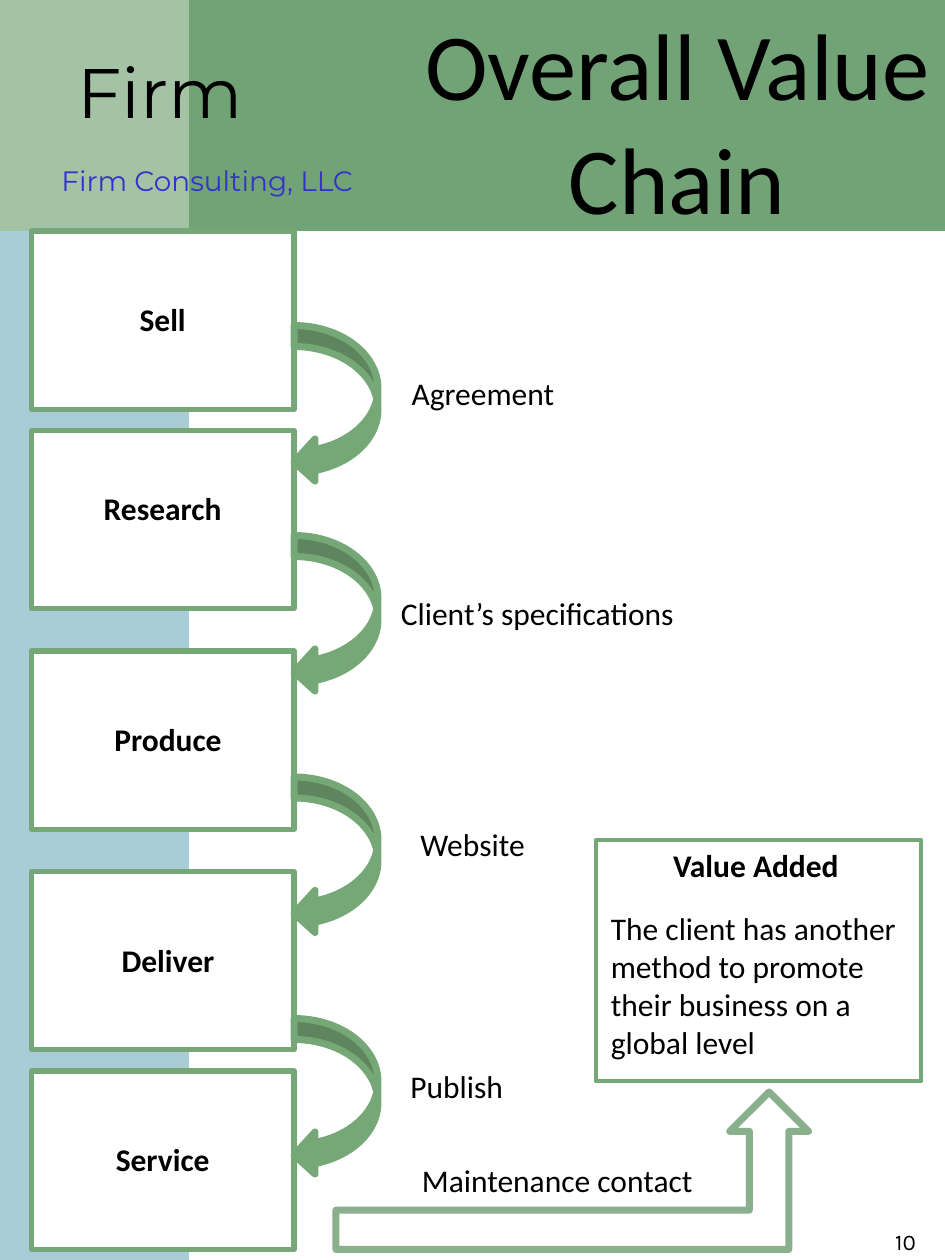
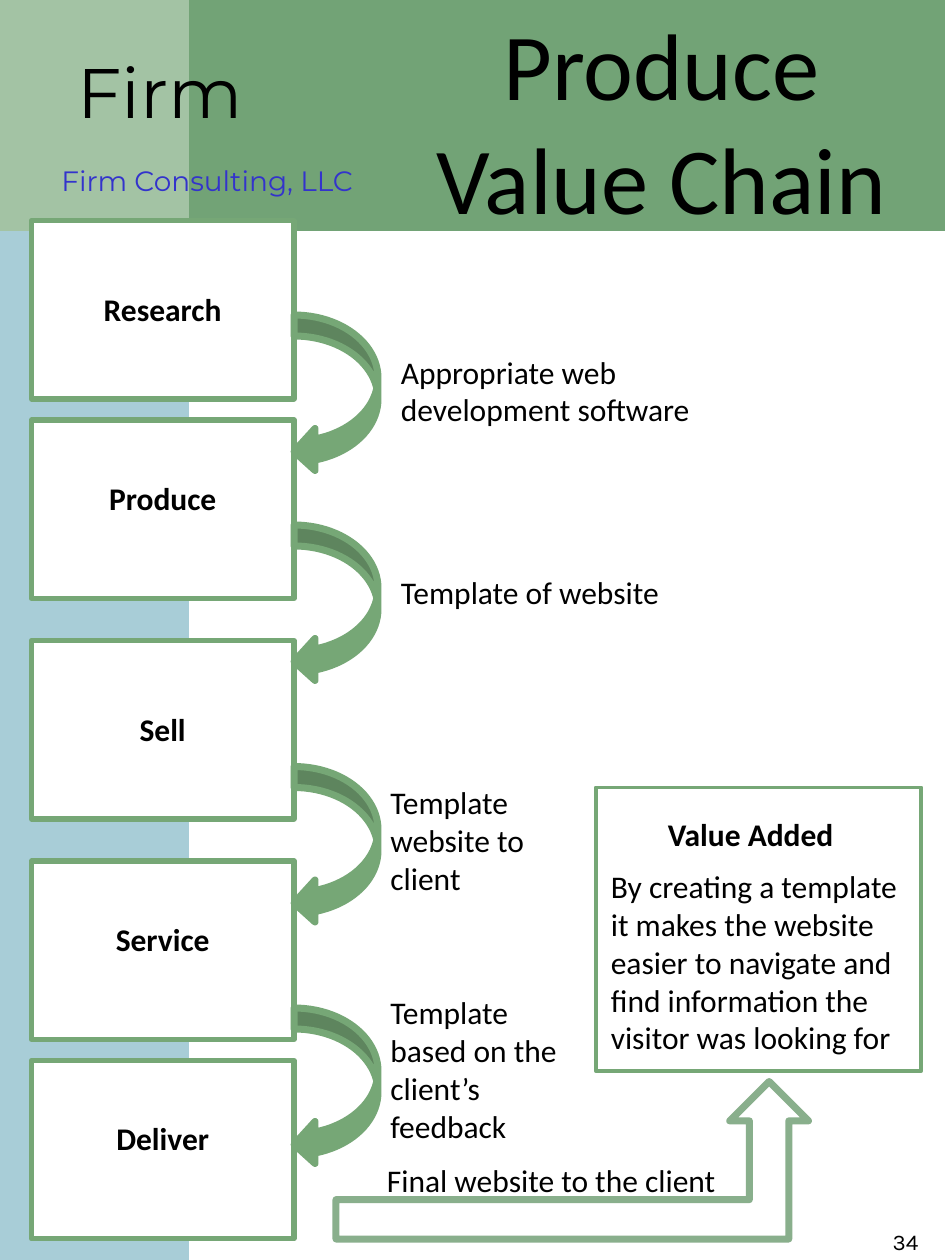
from lxml.etree import SubElement
from pptx import Presentation
from pptx.dml.color import RGBColor
from pptx.enum.shapes import MSO_SHAPE
from pptx.enum.text import MSO_ANCHOR, MSO_AUTO_SIZE, PP_ALIGN
from pptx.oxml.ns import qn
from pptx.util import Inches, Pt

THEME = {
    "white": "FFFFFF", "black": "000000", "blue": "3333CC",
    "side": "A8CDD7", "header": "72A376", "corner": "B0CCB0",
    "green": "76A776", "outline": "89AF8C",
    "title": {"name": "Calibri", "size": Pt(54), "bold": False},
    "step": {"name": "Calibri", "size": Pt(18), "bold": True},
    "note": {"name": "Calibri", "size": Pt(18), "bold": False},
    "firm": {"name": "Montserrat", "size": Pt(40)},
    "firm_line": {"name": "Montserrat", "size": Pt(16)},
    "number": {"name": "Karla", "size": Pt(16)},
}
CENTER, LEFT = PP_ALIGN.CENTER, PP_ALIGN.LEFT

# The slide is a grid of 90 columns by 120 rows.
COLUMNS, ROWS = 90, 120
CELL = Inches(7.5) / COLUMNS
STEP_ROWS = (22, 41, 62, 83, 102)
LOOP_ROWS = (31, 51, 74, 97)

# Steps: text, column, row, columns wide. Outputs add the alignment.
CHAINS = [
    {
        "title": "Overall Value Chain", "title_column": 39, "number": "10", "shift": 0,
        "steps": [("Sell", 4, 28, 23), ("Research", 4, 46, 23), ("Produce", 4, 68, 24),
                  ("Deliver", 4, 89, 24), ("Service", 3, 108, 25)],
        "outputs": [("Agreement", 37, 35, 18, CENTER),
                    ("Client’s specifications", 37, 56, 32, LEFT),
                    ("Website", 37, 78, 16, CENTER),
                    ("Publish", 37, 101, 13, CENTER),
                    ("Maintenance contact", 39, 110, 32, LEFT)],
        "panel": (80, 23), "heading": ("Value Added", 57, 80, 30),
        "benefit": ("The client has another method to promote their business "
                    "on a global level", 57, 86, 30, LEFT),
    },
    {
        "title": "Produce Value Chain", "title_column": 36, "number": "34", "shift": -1,
        "steps": [("Research", 3, 27, 25), ("Produce", 3, 45, 25), ("Sell", 3, 67, 25),
                  ("Service", 3, 87, 25), ("Deliver", 3, 106, 25)],
        "outputs": [("Appropriate web development software", 37, 33, 34, LEFT),
                    ("Template of website", 37, 54, 34, LEFT),
                    ("Template website to client", 36, 74, 20, LEFT),
                    ("Template based on the client’s feedback", 36, 94, 20, LEFT),
                    ("Final website to the client", 33, 110, 39, CENTER)],
        "panel": (75, 27), "heading": ("Value Added", 57, 77, 29),
        "benefit": ("By creating a template it makes the website easier to navigate and "
                    "find information the visitor was looking for", 57, 82, 30, LEFT),
    },
]


def block(slide, kind, column, row, wide, high, fill, line=None, weight=0):
    """Add a preset shape, placed in grid cells."""
    cells = [int(n * CELL) for n in (column, row, wide, high)]
    shape = slide.shapes.add_shape(kind, *cells)
    shape.shadow.inherit = False
    shape.fill.solid()
    shape.fill.fore_color.rgb = RGBColor.from_string(THEME[fill])
    if line:
        shape.line.color.rgb = RGBColor.from_string(THEME[line])
        shape.line.width = Pt(weight)
    else:
        shape.line.fill.background()
    return shape


def label(slide, style, text, column, row, wide, align=CENTER, high=5,
          color="black", holder=None):
    """Write text in a new text box, or in the given placeholder."""
    cells = [int(n * CELL) for n in (column, row, wide, high)]
    holder = holder or slide.shapes.add_textbox(*cells)
    for side, value in zip(("left", "top", "width", "height"), cells):
        setattr(holder, side, value)
    frame = holder.text_frame
    frame.word_wrap = True
    frame.auto_size = MSO_AUTO_SIZE.NONE
    frame.vertical_anchor = MSO_ANCHOR.TOP
    frame.paragraphs[0].alignment = align
    run = frame.paragraphs[0].add_run()
    run.text = text
    run.font.color.rgb = RGBColor.from_string(THEME[color])
    for key, value in THEME[style].items():
        setattr(run.font, key, value)
    return holder


deck = Presentation()
deck.slide_width, deck.slide_height = Inches(7.5), Inches(10)
layout = deck.slide_layouts[5]

for index, chain in enumerate(CHAINS):
    slide = deck.slides.add_slide(layout)
    shift = chain["shift"]

    # The bands and the firm's name move to the layout, which both slides share.
    if index == 0:
        side = block(slide, MSO_SHAPE.RECTANGLE, 0, 8, 18, ROWS - 8, "side")
        header = block(slide, MSO_SHAPE.RECTANGLE, 0, 0, COLUMNS, 22, "header")
        corner = block(slide, MSO_SHAPE.RECTANGLE, 0, 0, 18, 22, "corner")
        tint = corner.element.spPr.find(qn("a:solidFill"))[0]
        SubElement(tint, qn("a:alpha"), val="80000")
        firm = label(slide, "firm", "Firm", 5.5, 4, 19.5, high=9)
        firm_line = label(slide, "firm_line", "Firm Consulting, LLC", 5, 15, 29.5,
                          high=4, color="blue")
        for name in (firm, firm_line):
            name.text_frame.word_wrap = False
        for place, part in enumerate((side, header, corner, firm, firm_line), start=2):
            layout.shapes.element.insert(place, part.element)

    column = chain["title_column"]
    label(slide, "title", chain["title"], column, 0, COLUMNS - column, high=23,
          holder=slide.shapes.title)

    for row in STEP_ROWS:
        block(slide, MSO_SHAPE.RECTANGLE, 3, row + shift, 25, 17, "white", "green", 3)
    for row in LOOP_ROWS:
        block(slide, MSO_SHAPE.CURVED_LEFT_ARROW, 28, row + shift, 8, 15,
              "green", "green", 4)
    block(slide, MSO_SHAPE.BENT_UP_ARROW, 32, 104 + shift, 45, 15, "white", "outline", 4)
    panel_row, panel_high = chain["panel"]
    block(slide, MSO_SHAPE.RECTANGLE, 56.75, panel_row, 31, panel_high,
          "white", "green", 2.25)

    for step in chain["steps"] + [chain["heading"]]:
        label(slide, "step", *step)
    for output in chain["outputs"] + [chain["benefit"]]:
        label(slide, "note", *output)

    number = label(slide, "number", chain["number"], 82.5, 116, 7.5, high=4)
    number.text_frame.vertical_anchor = MSO_ANCHOR.MIDDLE
    number.text_frame.paragraphs[0].runs[0]._r.get_or_add_rPr().set("cap", "small")

deck.save("out.pptx")
